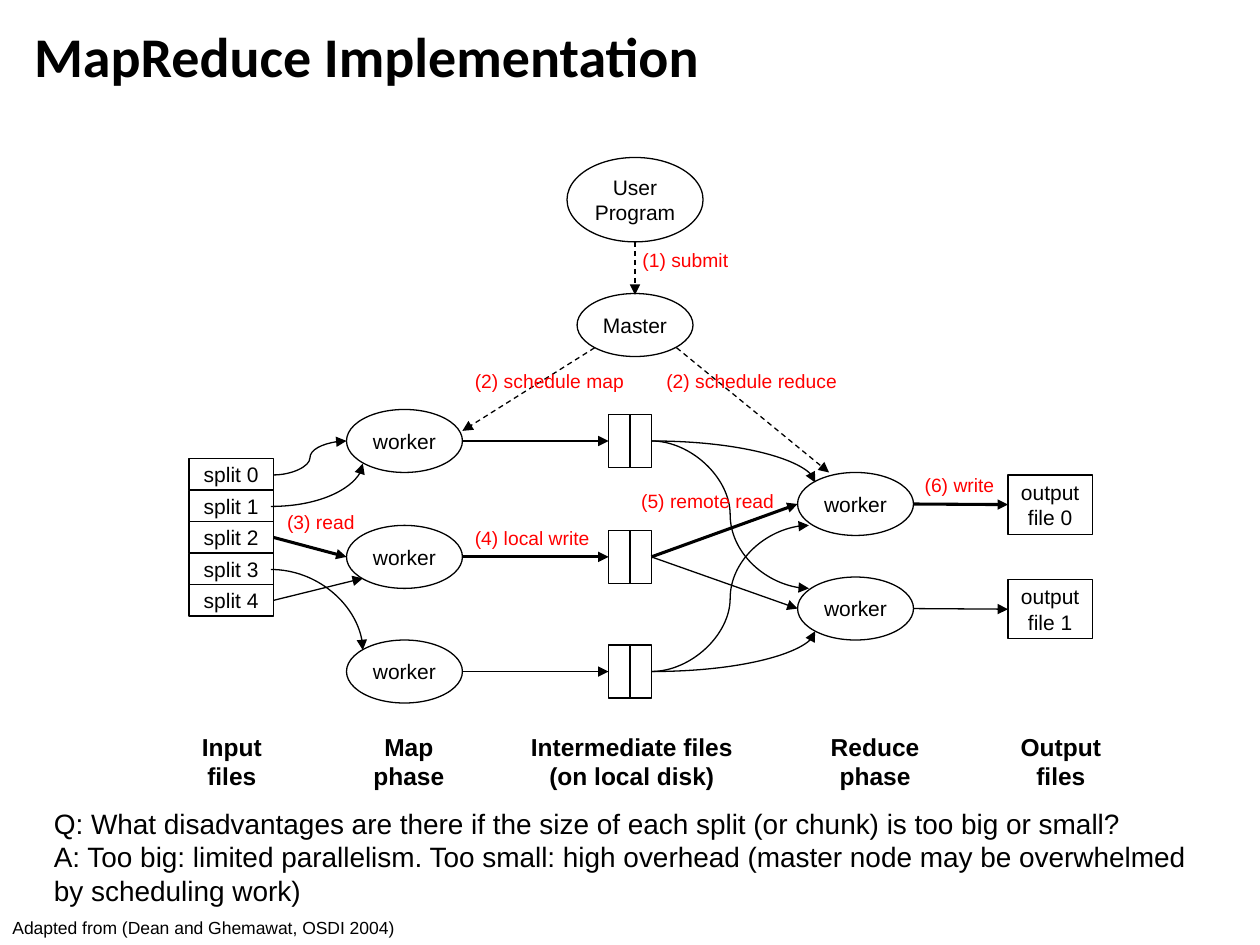
from dataclasses import dataclass

from pptx import Presentation
from pptx.dml.color import RGBColor
from pptx.enum.dml import MSO_LINE
from pptx.enum.shapes import MSO_CONNECTOR, MSO_SHAPE
from pptx.enum.text import MSO_ANCHOR, PP_ALIGN
from pptx.oxml.ns import qn
from pptx.oxml.xmlchemy import OxmlElement
from pptx.util import Inches, Pt


@dataclass(frozen=True)
class Theme:
    ink: RGBColor = RGBColor(0x00, 0x00, 0x00)
    accent: RGBColor = RGBColor(0xFF, 0x00, 0x00)
    title_font: str = "Calibri"
    body_font: str = "Arial"
    title_size: int = 32
    question_size: int = 16
    phase_size: int = 14
    node_size: int = 12
    step_size: int = 11
    source_size: int = 10
    thin: float = 0.75
    thick: float = 1.75


THEME = Theme()
LEFT, RIGHT = 1, 3  # connection sites of a rectangle
NODE_WIDTH, NODE_HEIGHT = 0.92, 0.5
MAP_LEFT, MAP_TOPS = 2.75, (3.25, 4.17, 5.08)
REDUCE_LEFT, REDUCE_TOPS = 6.33, (3.75, 4.58)
SPLIT_LEFT, SPLIT_TOP, SPLIT_WIDTH, SPLIT_HEIGHT = 1.5, 3.64, 0.67, 0.25
CELL_LEFT, CELL_WIDTH, CELL_HEIGHT = 4.83, 0.17, 0.42


def write(frame, text, size, color=THEME.ink, font=THEME.body_font,
          bold=False, align=PP_ALIGN.LEFT):
    frame.text = text
    for para in frame.paragraphs:
        para.alignment = align
        para.font.name = font
        para.font.size = Pt(size)
        para.font.bold = bold
        para.font.color.rgb = color


def add_title(slide, text):
    title = slide.shapes.title
    title.left, title.top = Inches(0.17), Inches(0.12)
    title.width, title.height = Inches(9.5), Inches(1.12)
    title.text_frame.vertical_anchor = MSO_ANCHOR.TOP
    write(title.text_frame, text, THEME.title_size,
          font=THEME.title_font, bold=True)


def add_text(slide, text, left, top, width, height, size, wrap=False, **style):
    box = slide.shapes.add_textbox(
        Inches(left), Inches(top), Inches(width), Inches(height))
    box.text_frame.word_wrap = wrap
    write(box.text_frame, text, size, **style)


def add_node(slide, kind, left, top, width, height, text=""):
    """Outlined shape with a centred label."""
    node = slide.shapes.add_shape(
        kind, Inches(left), Inches(top), Inches(width), Inches(height))
    node.shadow.inherit = False
    node.fill.background()
    node.line.color.rgb = THEME.ink
    node.line.width = Pt(THEME.thin)
    if text:
        frame = node.text_frame
        frame.word_wrap = False
        frame.vertical_anchor = MSO_ANCHOR.MIDDLE
        frame.margin_left = frame.margin_right = 0
        frame.margin_top = frame.margin_bottom = 0
        write(frame, text, THEME.node_size, align=PP_ALIGN.CENTER)
    return node


def add_arrow(slide, start, end, kind=MSO_CONNECTOR.STRAIGHT,
              width=THEME.thin, dashed=False, source=None, target=None):
    """Arrow between two points; source and target are rectangles to join."""
    arrow = slide.shapes.add_connector(
        kind, *(Inches(value) for value in (*start, *end)))
    if source is not None:
        arrow.begin_connect(source, RIGHT)
    if target is not None:
        arrow.end_connect(target, LEFT)
    arrow.line.color.rgb = THEME.ink
    arrow.line.width = Pt(width)
    if dashed:
        arrow.line.dash_style = MSO_LINE.DASH
    properties = arrow.element.spPr
    head = OxmlElement("a:tailEnd")
    head.set("type", "triangle")
    properties.find(qn("a:ln")).append(head)
    properties.append(OxmlElement("a:effectLst"))
    return arrow


def add_curve(slide, start, end, quarter=False):
    """S-shaped arrow, or a quarter turn that arrives vertically."""
    arrow = add_arrow(slide, start, end, MSO_CONNECTOR.CURVE)
    if quarter:
        geometry = arrow.element.spPr.find(qn("a:prstGeom"))
        geometry.set("prst", "curvedConnector2")


def add_nodes(slide):
    """Draw all nodes; return the rectangles that arrows join."""
    oval, rect = MSO_SHAPE.OVAL, MSO_SHAPE.RECTANGLE
    add_node(slide, oval, 4.5, 1.25, 1.08, 0.67, "User\vProgram")
    add_node(slide, oval, 4.58, 2.33, NODE_WIDTH, NODE_HEIGHT, "Master")
    splits = [add_node(slide, rect, SPLIT_LEFT, SPLIT_TOP + i * SPLIT_HEIGHT,
                       SPLIT_WIDTH, SPLIT_HEIGHT, f"split {i}")
              for i in range(5)]
    buffers = []
    for top in MAP_TOPS:
        add_node(slide, oval, MAP_LEFT, top, NODE_WIDTH, NODE_HEIGHT, "worker")
        buffers.append([
            add_node(slide, rect, CELL_LEFT + i * CELL_WIDTH, top + 0.04,
                     CELL_WIDTH, CELL_HEIGHT) for i in range(2)])
    outputs = []
    for i, top in enumerate(REDUCE_TOPS):
        add_node(slide, oval, REDUCE_LEFT, top, NODE_WIDTH, NODE_HEIGHT, "worker")
        outputs.append(add_node(slide, rect, 8, top + 0.02, 0.67, 0.47,
                                f"output\nfile {i}"))
    return splits, buffers, outputs


def add_flows(slide, splits, buffers, outputs):
    middle = NODE_HEIGHT / 2
    map_right = MAP_LEFT + NODE_WIDTH
    reduce_right = REDUCE_LEFT + NODE_WIDTH
    split_right = SPLIT_LEFT + SPLIT_WIDTH
    buffer_right = CELL_LEFT + 2 * CELL_WIDTH

    # Scheduling
    for start, end in (((5.04, 1.92), (5.04, 2.34)),
                       ((4.72, 2.76), (map_right, 3.42)),
                       ((5.37, 2.76), (6.58, 3.75))):
        add_arrow(slide, start, end, dashed=True)

    # Splits to map workers
    add_curve(slide, (split_right, 3.77), (MAP_LEFT, 3.5))
    add_curve(slide, (2.15, 4.02), (2.88, 3.68), quarter=True)
    add_curve(slide, (2.15, 4.52), (2.88, 5.16), quarter=True)
    add_arrow(slide, (split_right, 4.27), (MAP_LEFT, 4.42),
              width=THEME.thick, source=splits[2])
    add_arrow(slide, (split_right, 4.77), (2.88, 4.59), source=splits[4])

    # Map workers to intermediate files
    for top, cells, width in zip(MAP_TOPS, buffers,
                                 (THEME.thin, THEME.thick, THEME.thin)):
        add_arrow(slide, (map_right, top + middle), (CELL_LEFT, top + middle),
                  width=width, target=cells[0])

    # Intermediate files to reduce workers, then to output files
    for top, output, width in zip(REDUCE_TOPS, outputs,
                                  (THEME.thick, THEME.thin)):
        center = top + middle
        add_arrow(slide, (buffer_right, 4.42), (REDUCE_LEFT, center),
                  width=width, source=buffers[1][1])
        add_arrow(slide, (reduce_right, center), (8, center),
                  width=width, target=output)
    for start_y, near_y, far_y in ((3.5, 3.83, 4.67), (5.33, 5.01, 4.17)):
        add_curve(slide, (buffer_right, start_y), (6.47, near_y), quarter=True)
        add_curve(slide, (buffer_right, start_y), (6.42, far_y))


def add_labels(slide):
    steps = (("(1) submit", 5, 1.92, 0.89),
             ("(2) schedule map", 3.67, 2.88, 1.39),
             ("(2) schedule reduce", 5.19, 2.88, 1.56),
             ("(3) read", 2.18, 4, 0.74),
             ("(4) local write", 3.67, 4.13, 1.12),
             ("(5) remote read", 4.99, 3.83, 1.26),
             ("(6) write", 7.24, 3.71, 0.76))
    for text, left, top, width in steps:
        add_text(slide, text, left, top, width, 0.29, THEME.step_size,
                 color=THEME.accent)
    phases = (("Input\nfiles", 1.5, 0.68),
              ("Map\nphase", 2.86, 0.77),
              ("Intermediate files\n(on local disk)", 4.11, 1.81),
              ("Reduce\nphase", 6.49, 0.91),
              ("Output\nfiles", 8, 0.84))
    for text, left, width in phases:
        add_text(slide, text, left, 5.76, width, 0.57, THEME.phase_size,
                 bold=True, align=PP_ALIGN.CENTER)


def main():
    deck = Presentation()
    deck.slide_width, deck.slide_height = Inches(10), Inches(7.5)
    slide = deck.slides.add_slide(deck.slide_layouts[5])

    # Title and diagram
    add_title(slide, "MapReduce Implementation")
    add_flows(slide, *add_nodes(slide))
    add_labels(slide)

    # Question, answer and source
    add_text(slide,
             "Q: What disadvantages are there if the size of each split "
             "(or chunk) is too big or small?\n"
             "A: Too big: limited parallelism. Too small: high overhead "
             "(master node may be overwhelmed by scheduling work)",
             0.33, 6.35, 9.33, 0.91, THEME.question_size, wrap=True)
    add_text(slide, "Adapted from (Dean and Ghemawat, OSDI 2004)",
             0, 7.23, 3.42, 0.27, THEME.source_size, wrap=True)
    deck.save("out.pptx")


if __name__ == "__main__":
    main()
